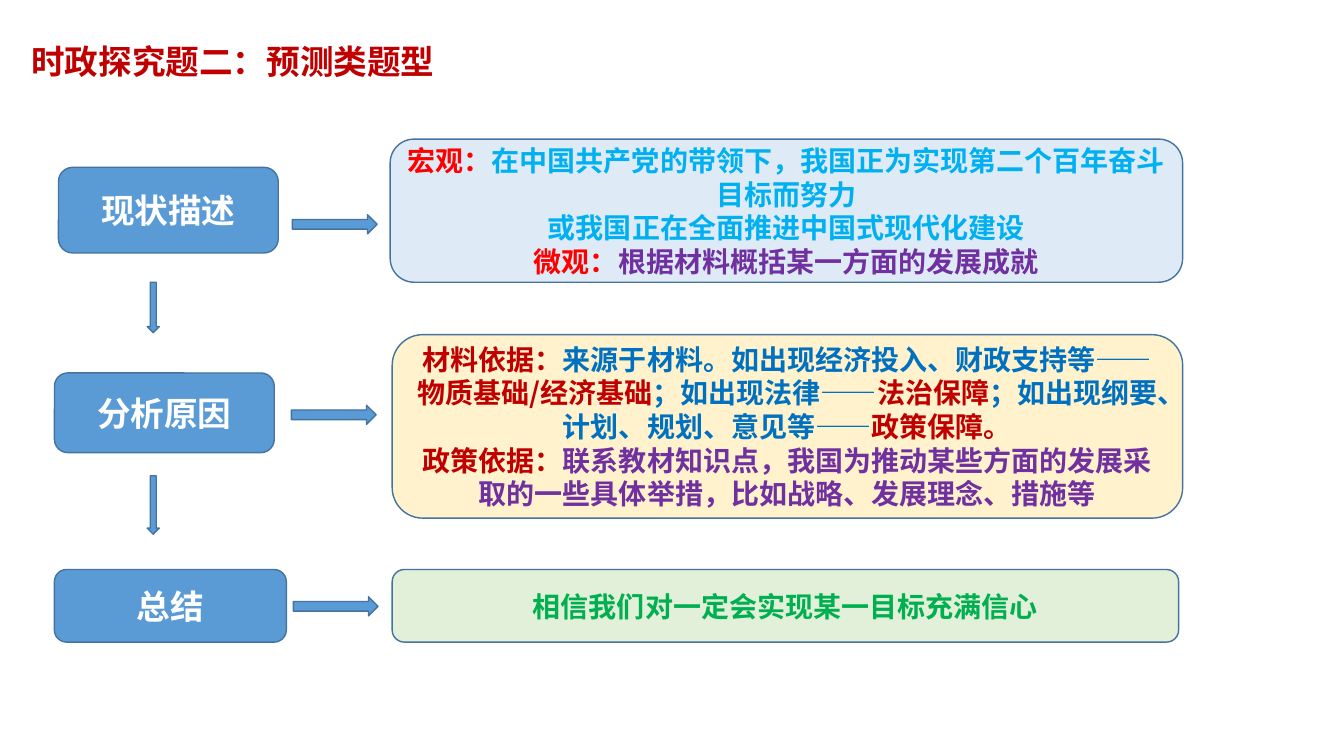
import pptx
import pptx.util
import pptx.dml.color
import pptx.enum.shapes
import pptx.enum.text
import pptx.oxml.ns
import lxml.etree

Inches = pptx.util.Inches
Pt = pptx.util.Pt
Shape = pptx.enum.shapes.MSO_SHAPE
Align = pptx.enum.text.PP_ALIGN
Anchor = pptx.enum.text.MSO_ANCHOR

FONT = "Noto Sans CJK SC"
COLORS = {
    "step": "5B9BD5", "outline": "43739E", "white": "FFFFFF",
    "status": "DEEBF7", "reason": "FFF2CC", "summary": "E2F0D9",
    "crimson": "C00000", "red": "FF0000", "sky": "00B0F0",
    "purple": "7030A0", "blue": "0070C0", "green": "00B050",
}
STEPS = [
    ("现状描述", (0.58, 1.66, 2.18, 0.85)),
    ("分析原因", (0.54, 3.7, 2.18, 0.79)),
    ("总结", (0.54, 5.65, 2.3, 0.72)),
]
DETAILS = [
    ("status", (3.87, 1.38, 7.86, 1.42), [
        [("宏观：", "red"),
         ("在中国共产党的带领下，我国正为实现第二个百年奋斗目标而努力", "sky")],
        [("或我国正在全面推进中国式现代化建设", "sky")],
        [("微观：", "red"), ("根据材料概括某一方面的发展成就", "purple")],
    ]),
    ("reason", (3.89, 3.32, 7.84, 1.82), [
        [("材料依据：", "crimson"),
         ("来源于材料。如出现经济投入、财政支持等——", "blue"),
         ("物质基础/经济基础", "crimson"),
         ("；如出现法律——", "blue"),
         ("法治保障", "crimson"),
         ("；如出现纲要、计划、规划、意见等——", "blue"),
         ("政策保障。", "crimson")],
        [("政策依据：", "crimson"),
         ("联系教材知识点，我国为推动某些方面的发展采取的一些具体举措，"
          "比如战略、发展理念、措施等", "purple")],
    ]),
    ("summary", (3.89, 5.65, 7.8, 0.72), [
        [("相信我们对一定会实现某一目标充满信心", "green")],
    ]),
]
DOWN_ARROWS = [(1.46, 2.8, 0.12, 0.5), (1.46, 4.72, 0.12, 0.58)]
RIGHT_ARROWS = [(left, top, 0.84, 0.19)
                for left, top in ((2.9, 2.13), (2.89, 4.02), (2.91, 5.92))]


def set_values(target, **values):
    for name, value in values.items():
        setattr(target, name, value)


def color(name):
    return pptx.dml.color.RGBColor.from_string(COLORS[name])


def write_text(shape, paragraphs, size, alignment, anchor):
    frame = shape.text_frame
    set_values(frame, word_wrap=True, vertical_anchor=anchor,
               auto_size=pptx.enum.text.MSO_AUTO_SIZE.NONE)
    for index, spans in enumerate(paragraphs):
        para = frame.add_paragraph() if index else frame.paragraphs[0]
        set_values(para, alignment=alignment, line_spacing=Pt(size * 1.2),
                   space_before=Pt(0))
        for text, color_name in spans:
            span = para.add_run()
            span.text = text
            set_values(span.font, name=FONT, size=Pt(size), bold=True)
            span.font.color.rgb = color(color_name)
            east_asian = lxml.etree.SubElement(
                span.font._element, pptx.oxml.ns.qn("a:ea"))
            east_asian.set("typeface", FONT)


def add_block(page, kind, place, fill):
    block = page.shapes.add_shape(kind, *map(Inches, place))
    block.shadow.inherit = False
    block.fill.solid()
    block.fill.fore_color.rgb = color(fill)
    block.line.color.rgb = color("outline")
    block.line.width = Pt(1)
    return block


def add_box(page, place, fill, paragraphs, size):
    box = add_block(page, Shape.ROUNDED_RECTANGLE, place, fill)
    write_text(box, paragraphs, size, Align.CENTER, Anchor.MIDDLE)


def add_title(page, text):
    title = page.shapes.title
    set_values(title, left=Inches(0.21), top=Inches(0.36),
               width=Inches(12.25), height=Inches(0.5))
    write_text(title, [[(text, "crimson")]], 24, Align.LEFT, Anchor.TOP)


def main():
    deck = pptx.Presentation()
    set_values(deck, slide_width=Inches(13.33), slide_height=Inches(7.5))
    page = deck.slides.add_slide(deck.slide_layouts.get_by_name("Title Only"))
    add_title(page, "时政探究题二：预测类题型")
    for text, place in STEPS:
        add_box(page, place, "step", [[(text, "white")]], 24)
    for fill, place, paragraphs in DETAILS:
        add_box(page, place, fill, paragraphs, 20)
    for kind, places in ((Shape.DOWN_ARROW, DOWN_ARROWS),
                         (Shape.RIGHT_ARROW, RIGHT_ARROWS)):
        for place in places:
            add_block(page, kind, place, "step")
    deck.save("out.pptx")


main()
